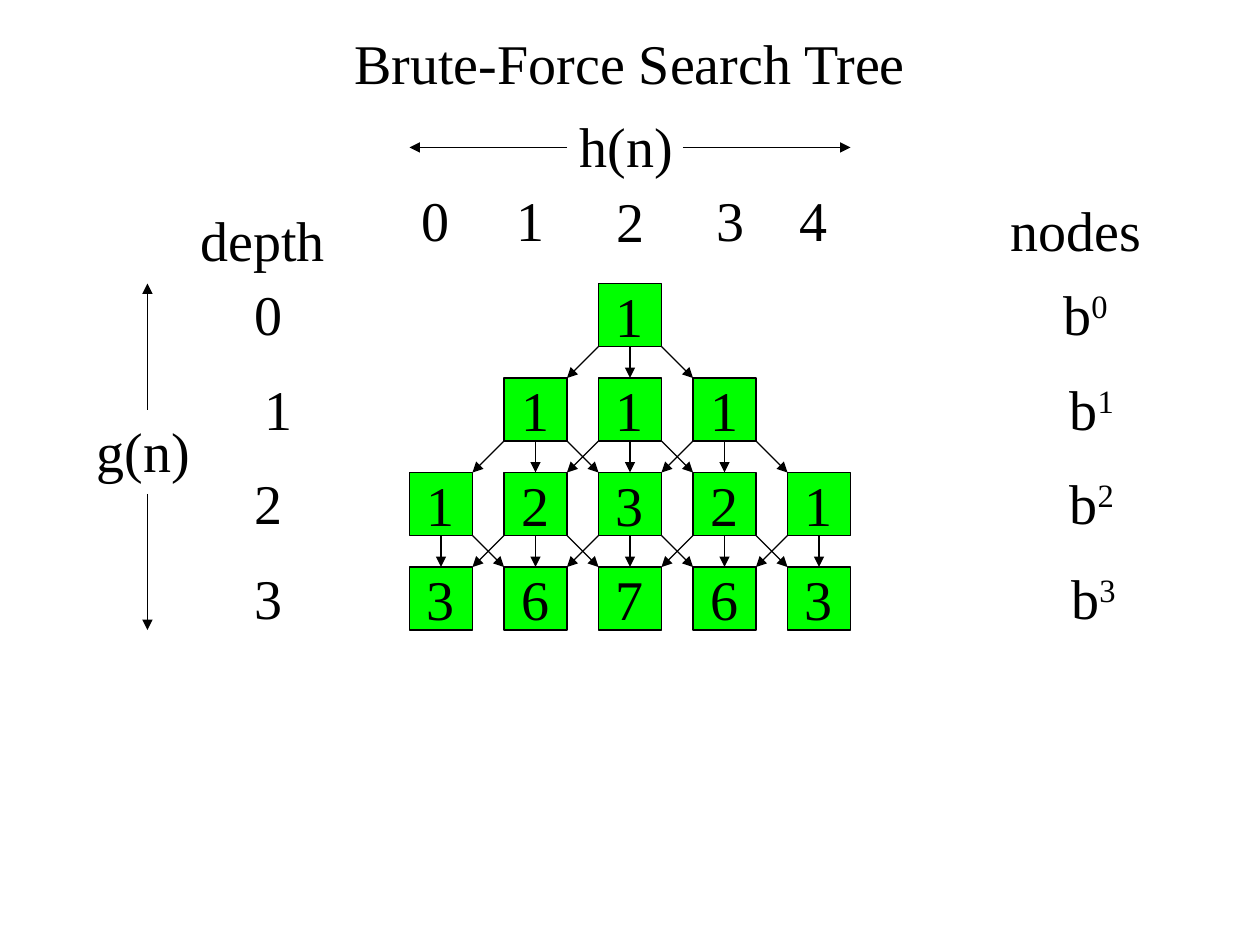
from dataclasses import dataclass

from lxml.etree import SubElement
from pptx import Presentation
from pptx.dml.color import RGBColor
from pptx.enum.shapes import MSO_CONNECTOR as Connector, MSO_SHAPE as Shape
from pptx.enum.text import MSO_ANCHOR as Anchor, MSO_AUTO_SIZE as AutoSize, PP_ALIGN as Align
from pptx.oxml.ns import qn
from pptx.util import Emu, Pt

EMU_PER_PX = 9144  # 100 px to the inch
BOTTOM, TOP = 2, 0  # connection sites of a rectangle


@dataclass(frozen=True)
class Theme:
    ink: RGBColor = RGBColor(0, 0, 0)
    node: RGBColor = RGBColor(0, 255, 0)
    font: str = "Times New Roman"
    size: Pt = Pt(32)
    thin: Pt = Pt(0.75)
    axis: Pt = Pt(1)


def px(*lengths):
    return [Emu(length * EMU_PER_PX) for length in lengths]


def set_values(target, **values):
    for name, value in values.items():
        setattr(target, name, value)


class TreeSlide:
    def __init__(self, slide, theme):
        self.slide = slide
        self.theme = theme

    def set_text(self, shape, text, superscript="", anchor=Anchor.MIDDLE, wrap=False):
        frame = shape.text_frame
        set_values(frame, word_wrap=wrap, auto_size=AutoSize.NONE, vertical_anchor=anchor)
        paragraph = frame.paragraphs[0]
        paragraph.alignment = Align.CENTER
        for content, baseline in ((text, None), (superscript, "30000")):
            if not content:
                continue
            run = paragraph.add_run()
            run.text = content
            set_values(run.font, name=self.theme.font, size=self.theme.size)
            run.font.color.rgb = self.theme.ink
            if baseline:
                run.font._element.set("baseline", baseline)

    def title(self, text, left, top, width, height):
        shape = self.slide.shapes.title
        set_values(shape, **dict(zip(("left", "top", "width", "height"),
                                     px(left, top, width, height))))
        self.set_text(shape, text)

    def label(self, text, left, top, width, **options):
        shape = self.slide.shapes.add_textbox(*px(left, top, width, 64))
        self.set_text(shape, text, **options)

    def node(self, text, left, top, side):
        shape = self.slide.shapes.add_shape(Shape.RECTANGLE, *px(left, top, side, side))
        shape.shadow.inherit = False
        shape.fill.solid()
        shape.fill.fore_color.rgb = self.theme.node
        shape.line.color.rgb = self.theme.ink
        shape.line.width = self.theme.thin
        self.set_text(shape, text)
        return shape

    def arrow(self, x1, y1, x2, y2, width):
        connector = self.slide.shapes.add_connector(Connector.STRAIGHT, *px(x1, y1, x2, y2))
        connector.line.color.rgb = self.theme.ink
        connector.line.width = width
        SubElement(connector.line._get_or_add_ln(), qn("a:tailEnd"), type="triangle")
        SubElement(connector._element.spPr, qn("a:effectLst"))
        return connector


def draw_tree(page, rows, center=500, top=225, side=50, pitch=75):
    """Draw centred rows of nodes, each joined to its neighbours in the next row."""
    nodes = {}
    for depth, row in enumerate(rows):
        for index, count in enumerate(row):
            column = index - len(row) // 2
            left = center + column * pitch - side // 2
            nodes[depth, column] = page.node(str(count), left, top + depth * pitch, side)

    gap = pitch - side
    for (depth, column), parent in nodes.items():
        x = center + column * pitch
        y = top + depth * pitch + side
        for step in (-1, 0, 1):
            child = nodes.get((depth + 1, column + step))
            if child is None:
                continue
            start = x + step * side // 2
            arrow = page.arrow(start, y, start + step * gap, y + gap, page.theme.thin)
            if step == 0:
                arrow.begin_connect(parent, BOTTOM)
                arrow.end_connect(child, TOP)


def main():
    presentation = Presentation()
    set_values(presentation, **dict(zip(("slide_width", "slide_height"), px(1000, 750))))
    slide = presentation.slides.add_slide(presentation.slide_layouts[5])
    page = TreeSlide(slide, Theme())

    page.title("Brute-Force Search Tree", 270, 17, 460, 64)
    page.label("depth", 125, 158, 167)
    page.label("nodes", 792, 150, 124)
    page.label("h(n)", 450, 83, 94)
    page.label("g(n)", 67, 325, 94)

    draw_tree(page, [[1], [1, 1, 1], [1, 2, 3, 2, 1], [3, 6, 7, 6, 3]])

    for value, (left, top) in enumerate([(325, 142), (400, 142), (479, 143),
                                         (559, 142), (625, 142)]):
        page.label(str(value), left, top, 42)

    depth_boxes = [(192, 42), (200, 25), (192, 42), (192, 42)]
    power_boxes = [("0", 834, 55), ("1", 833, 67), ("2", 833, 67), ("3 ", 817, 108)]
    for depth, ((left, width), (power, power_left, power_width)) in enumerate(
            zip(depth_boxes, power_boxes)):
        top = 217 + depth * 75
        page.label(str(depth), left, top, width, anchor=Anchor.TOP, wrap=True)
        page.label("b", power_left, top, power_width, superscript=power, anchor=Anchor.TOP)

    for ends in [(542, 117, 675, 117), (450, 117, 325, 117),
                 (117, 325, 117, 225), (117, 392, 117, 500)]:
        page.arrow(*ends, page.theme.axis)

    presentation.save("out.pptx")


if __name__ == "__main__":
    main()
